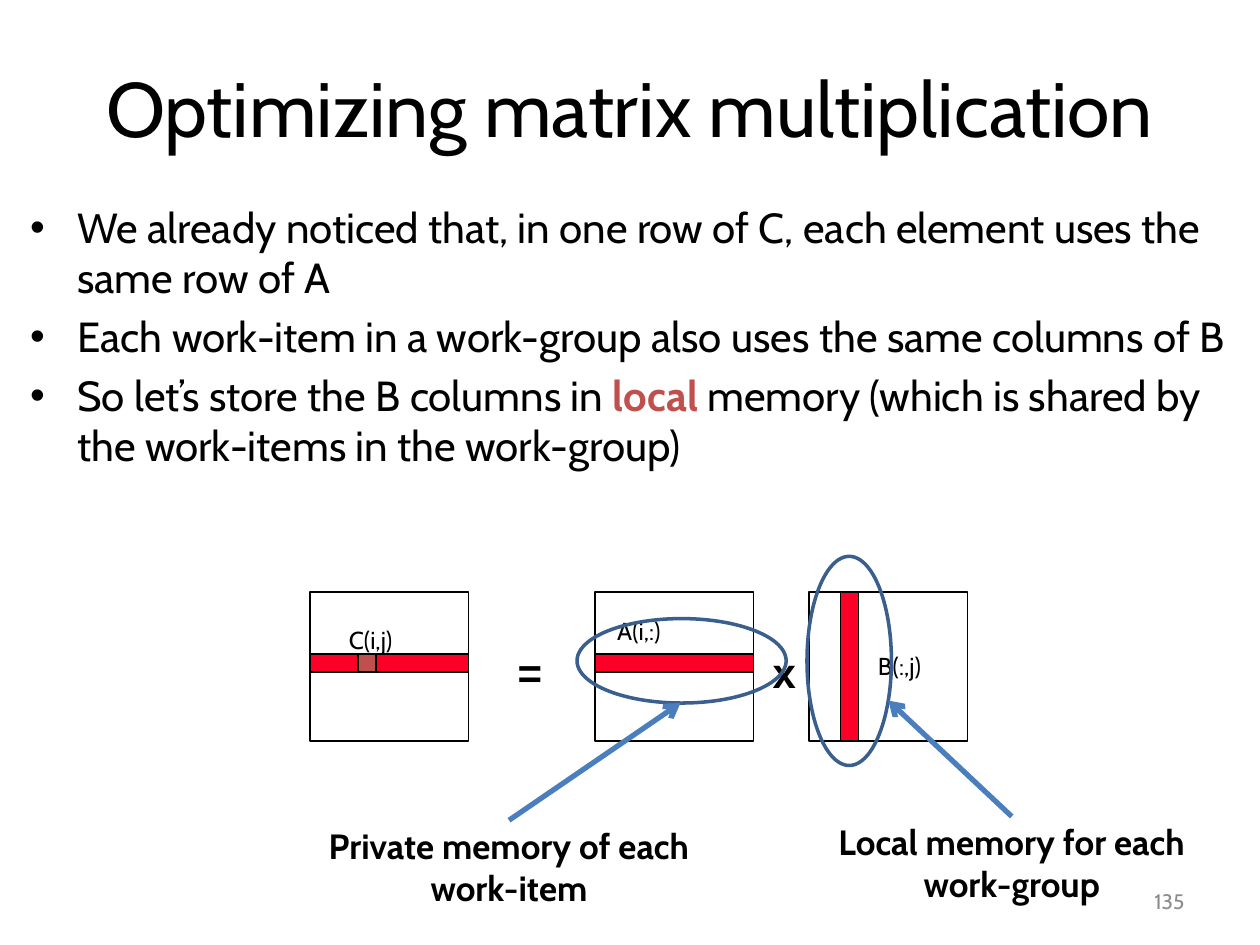
import pptx
import pptx.util
import pptx.dml.color
import pptx.enum.shapes
import pptx.enum.text
import pptx.oxml
import pptx.oxml.ns
import lxml.etree

COLORS = {"ink": "000000", "stripe": "FC0128", "accent": "C0504D",
          "ring": "3A5F8C", "arrow": "4B7EBC", "muted": "8C8C8C"}
COLUMNS, ROWS = 100, 75
ALIGN = pptx.enum.text.PP_ALIGN
ANCHOR = pptx.enum.text.MSO_ANCHOR
SHAPE = pptx.enum.shapes.MSO_SHAPE


def color(name):
    return pptx.dml.color.RGBColor.from_string(COLORS[name])


def child(parent, tag, **attributes):
    element = lxml.etree.SubElement(parent, pptx.oxml.ns.qn(tag))
    for key, value in attributes.items():
        element.set(key, value)
    return element


class Painter:
    """Draws on one page, with lengths in columns and rows of its grid."""

    def __init__(self, deck, font):
        self.font = font
        self.cell_width = deck.slide_width / COLUMNS
        self.cell_height = deck.slide_height / ROWS
        self.page = deck.slides.add_slide(deck.slide_layouts[5])
        self.shapes = self.page.shapes

    def x(self, columns):
        return pptx.util.Emu(round(columns * self.cell_width))

    def y(self, rows):
        return pptx.util.Emu(round(rows * self.cell_height))

    def area(self, left, top, width, height):
        return self.x(left), self.y(top), self.x(width), self.y(height)

    def add_run(self, para, text, size, ink="ink", bold=False, font=None):
        span = para.add_run()
        span.text = text
        span.font.size = pptx.util.Pt(size)
        span.font.name = font or self.font
        span.font.bold = bold
        span.font.color.rgb = color(ink)

    def title(self, text, place, size):
        box = self.shapes.title
        box.left, box.top, box.width, box.height = self.area(*place)
        box.text_frame.vertical_anchor = ANCHOR.MIDDLE
        para = box.text_frame.paragraphs[0]
        para.alignment = ALIGN.CENTER
        self.add_run(para, text, size)

    def text(self, text, place, size, align=ALIGN.LEFT, anchor=ANCHOR.TOP,
             wrap=True, spacing=None, **style):
        box = self.shapes.add_textbox(*self.area(*place))
        box.text_frame.word_wrap = wrap
        box.text_frame.vertical_anchor = anchor
        para = box.text_frame.paragraphs[0]
        para.alignment = align
        para.line_spacing = spacing
        self.add_run(para, text, size, **style)
        return box

    def bullets(self, items, place, size, indent):
        frame = self.shapes.add_textbox(*self.area(*place)).text_frame
        frame.word_wrap = True
        for index, runs in enumerate(items):
            para = frame.add_paragraph() if index else frame.paragraphs[0]
            if index:
                para.space_before = pptx.util.Pt(0.2 * size)
            properties = para._p.get_or_add_pPr()
            properties.set("marL", str(self.x(indent)))
            properties.set("indent", str(-self.x(indent)))
            child(properties, "a:buFont", typeface="Arial")
            child(properties, "a:buChar", char="•")
            for text, style in runs:
                self.add_run(para, text, size, **style)

    def shape(self, kind, place, fill=None, line="ink", weight=1, turn=0):
        shape = self.shapes.add_shape(kind, *self.area(*place))
        shape.shadow.inherit = False
        shape.rotation = turn
        if fill:
            shape.fill.solid()
            shape.fill.fore_color.rgb = color(fill)
        else:
            shape.fill.background()
        shape.line.color.rgb = color(line)
        shape.line.width = pptx.util.Pt(weight)

    def arrow_from_top(self, box, end):
        line = self.shapes.add_connector(
            pptx.enum.shapes.MSO_CONNECTOR.STRAIGHT,
            box.left + box.width // 2, box.top, self.x(end[0]), self.y(end[1]))
        line.begin_connect(box, 0)
        line.line.color.rgb = color("arrow")
        line.line.width = pptx.util.Pt(3)
        child(line.line._get_or_add_ln(), "a:tailEnd", type="arrow")
        child(line._element.spPr, "a:effectLst")


def main():
    deck = pptx.Presentation()
    deck.slide_width = pptx.util.Inches(10)
    deck.slide_height = pptx.util.Inches(7.5)
    painter = Painter(deck, "Cabin")

    # Title and points
    painter.title("Optimizing matrix multiplication", (1.2, 2.2, 97.6, 12.5), 44)
    painter.bullets([
        [("We already noticed that, in one row of C, each element uses "
          "the same row of A", {})],
        [("Each work-item in a work-group also uses the same columns of B", {})],
        [("So let’s store the B columns in ", {}),
         ("local ", {"ink": "accent", "bold": True}),
         ("memory (which is shared by the work-items in the work-group)", {})],
    ], (1.4, 15.5, 96.9, 26.8), 24, 3.75)

    # Matrices C = A x B, each with its highlighted row or column
    side, top, height, band = 12.6, 47, 11.8, 1.45
    c_left, a_left, b_left = 24.6, 47.2, 64.2
    row_top = 51.9
    for left in (c_left, a_left, b_left):
        painter.shape(SHAPE.RECTANGLE, (left, top, side, height))
    for sign, left, width in (("=", 40.1, 5.9), ("x", 60.5, 1.8)):
        painter.text(sign, (left, 50.8, width, 5), 24, wrap=False,
                     bold=True, font="Arial")
    for left in (c_left, a_left):
        painter.shape(SHAPE.RECTANGLE, (left, row_top, side, band), "stripe")
    painter.shape(SHAPE.RECTANGLE, (b_left + 2.5, top, band, height), "stripe")
    painter.shape(SHAPE.RECTANGLE, (c_left + 3.8, row_top, band, band), "accent")
    for name, left, label_top in (("C(i,j)", 26.7, 49.1), ("A(i,:)", 48, 48.4),
                                  ("B(:,j)", 68.7, 51.2)):
        painter.text(name, (left, label_top, 7.4, 3.4), 14, wrap=False)

    # Rings around the shared data, with captions and arrows
    for caption, left, caption_top, ring_left, turn, end in (
            ("Private memory of each work-item", 22.4, 65.1, 45.8, 0, (54, 55.8)),
            ("Local memory for each work-group", 62.3, 64.8, 59.1, 270,
             (70.5, 55.6))):
        painter.shape(SHAPE.OVAL, (ring_left, 49.1, 16.6, 6.7),
                      line="ring", weight=2, turn=turn)
        box = painter.text(caption, (left, caption_top, 36, 7.7), 20,
                           align=ALIGN.CENTER, spacing=0.99, bold=True)
        painter.arrow_from_top(box, end)

    # Page number
    painter.text("135", (71.7, 69.5, 23.3, 4), 12, align=ALIGN.RIGHT,
                 anchor=ANCHOR.MIDDLE, ink="muted")

    deck.save("out.pptx")


if __name__ == "__main__":
    main()
